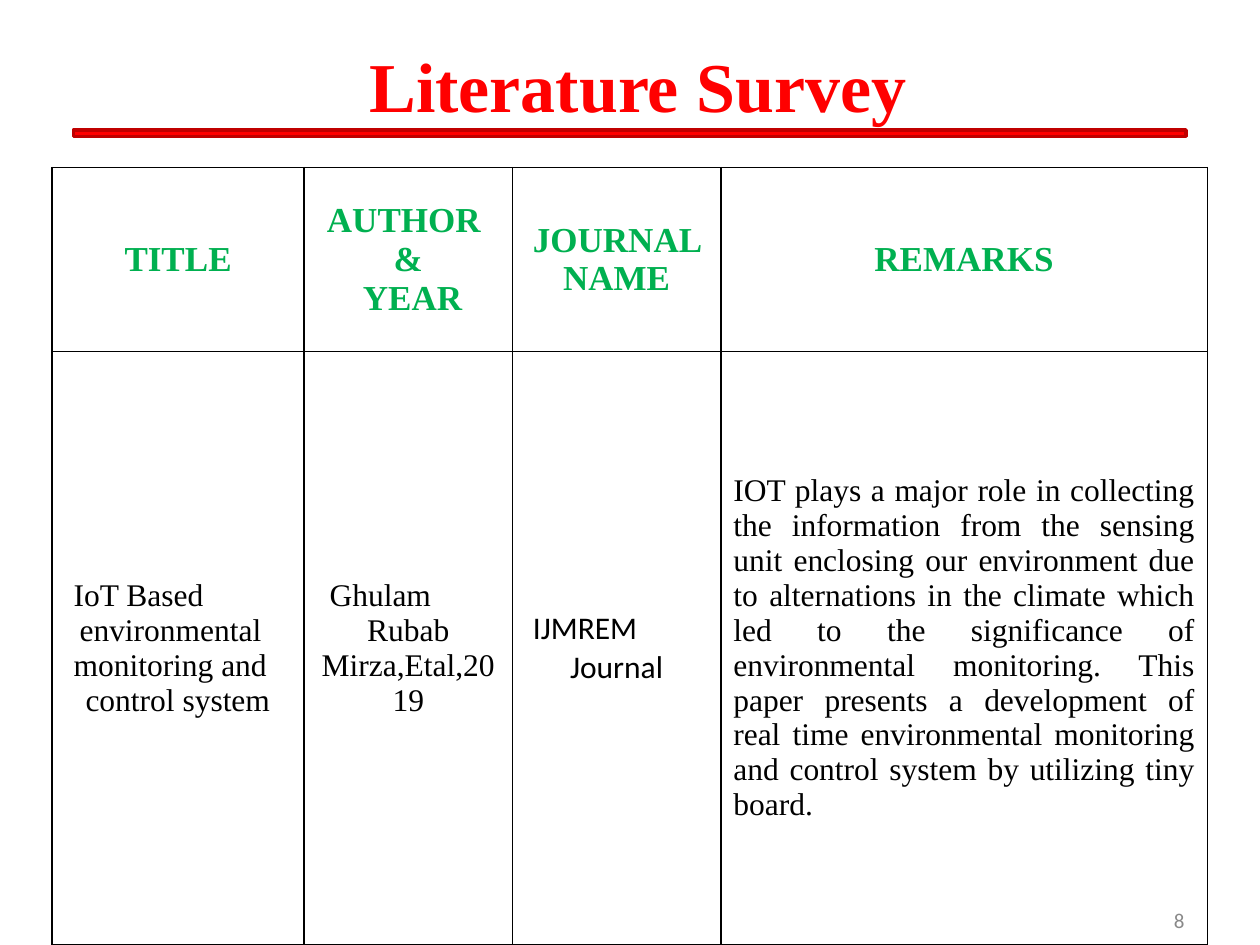
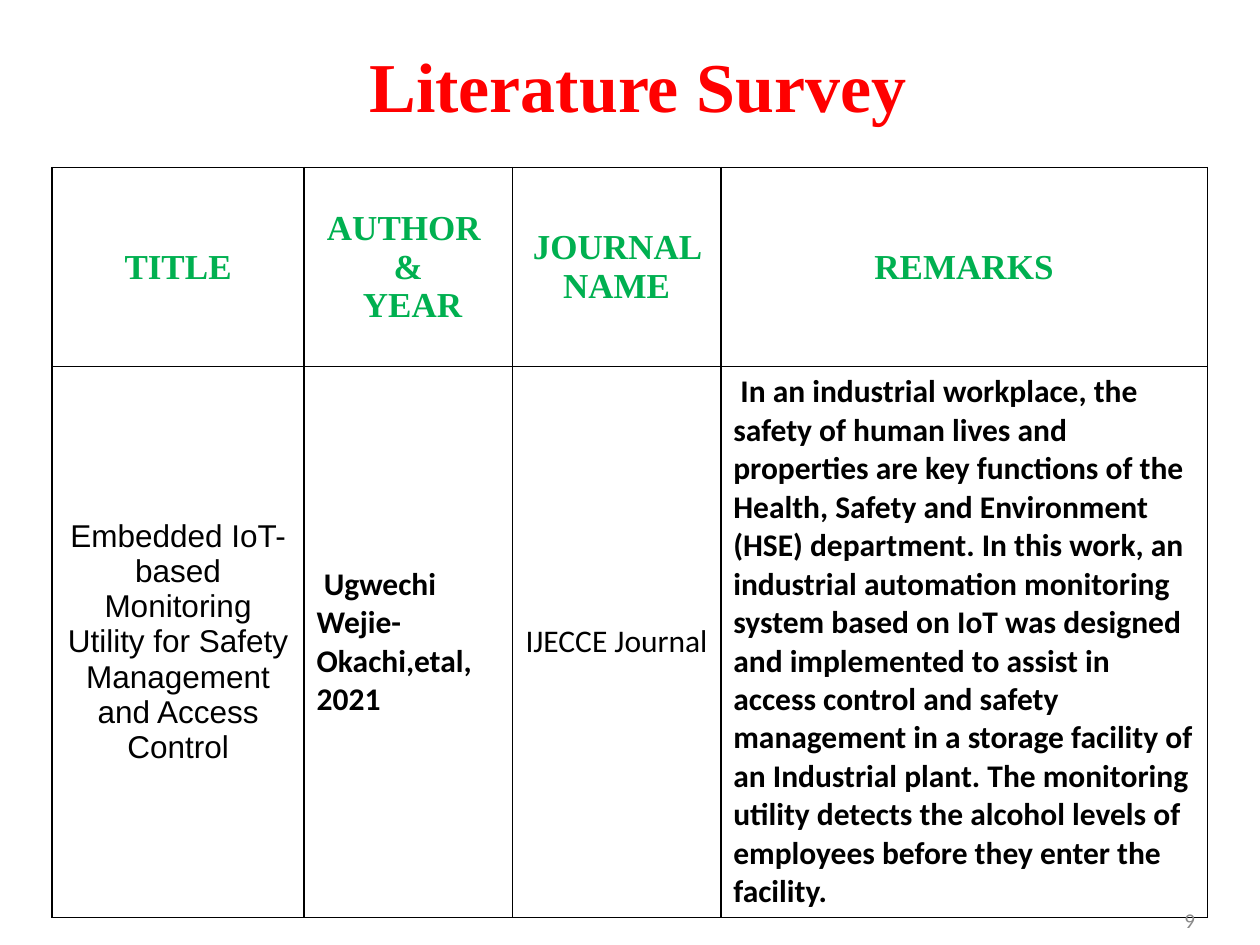
import lxml.etree
import pptx
import pptx.dml.color
import pptx.enum.shapes
import pptx.enum.text
import pptx.oxml.ns
import pptx.util

Cm = pptx.util.Cm
Pt = pptx.util.Pt
LEFT = pptx.enum.text.PP_ALIGN.LEFT
CENTER = pptx.enum.text.PP_ALIGN.CENTER
RIGHT = pptx.enum.text.PP_ALIGN.RIGHT
JUSTIFY = pptx.enum.text.PP_ALIGN.JUSTIFY
MIDDLE = pptx.enum.text.MSO_ANCHOR.MIDDLE

RED = "FF0000"
DARK_RED = "C00000"
GREEN = "00B050"
BLACK = "000000"
GREY = "898989"
SERIF = "Times New Roman"
SANS = "Calibri"
COLUMN_WIDTHS = [5.08, 4.2, 4.2, 9.81]
TABLE_LEFT, TABLE_TOP = 1.05, 3.38


def color(hex_string):
    """Return the colour for a hex string."""
    return pptx.dml.color.RGBColor.from_string(hex_string)


def write(frame, lines, font, size, text_color, bold=False):
    """Write lines of (text, alignment, indent in cm) as paragraphs."""
    for index, (text, alignment, indent) in enumerate(lines):
        paragraph = frame.paragraphs[0] if index == 0 else frame.add_paragraph()
        paragraph.alignment = alignment
        if indent:
            properties = paragraph._p.get_or_add_pPr()
            properties.set("marL", str(Cm(indent)))
            properties.set("indent", "0")
        run = paragraph.add_run()
        run.text = text
        run.font.name = font
        run.font.size = Pt(size)
        run.font.bold = bold
        run.font.color.rgb = color(text_color)


# Each cell holds its lines, its font and whether it is bold
header = [
    [("TITLE", CENTER, 0)],
    [("AUTHOR\u00a0", CENTER, 0), ("&", CENTER, 0), ("\u00a0YEAR", CENTER, 0)],
    [("JOURNAL NAME", CENTER, 0)],
    [("REMARKS", CENTER, 0)],
]
surveys = [
    {
        "number": "8", "number_left": 18.21, "rows": [3.71, 11.95], "rule": True,
        "cells": [
            ([("IoT Based", LEFT, 0.18), ("environmental", LEFT, 0.3),
              ("monitoring and", LEFT, 0.18), ("control system", LEFT, 0.42)],
             SERIF, False),
            ([("Ghulam", LEFT, 0.26), ("Rubab Mirza,Etal,2019", CENTER, 0)],
             SERIF, False),
            ([("IJMREM", LEFT, 0.16), ("Journal", CENTER, 0)], SANS, False),
            ([("IOT plays a major role in collecting the information from the "
               "sensing unit enclosing our environment due to alternations in "
               "the climate which led to the significance of environmental "
               "monitoring. This paper presents a development of real time "
               "environmental monitoring and control system by utilizing tiny "
               "board.", JUSTIFY, 0)], SERIF, False),
        ],
    },
    {
        "number": "9", "number_left": 18.42, "rows": [4.01, 11.1], "rule": False,
        "cells": [
            ([("Embedded IoT-based Monitoring Utility for Safety Management "
               "and Access Control", CENTER, 0)], "Arial", False),
            ([(" Ugwechi Wejie-Okachi,etal, 2021", LEFT, 0)], SANS, True),
            ([("IJECCE Journal", CENTER, 0)], SANS, False),
            ([(" In an industrial workplace, the safety of human lives and "
               "properties are key functions of the Health, Safety and "
               "Environment (HSE) department. In this work, an industrial "
               "automation monitoring system based on IoT was designed and "
               "implemented to assist in access control and safety management "
               "in a storage facility of an Industrial plant. The monitoring "
               "utility detects the alcohol levels of employees before they "
               "enter the facility.", LEFT, 0)], SANS, True),
        ],
    },
]

presentation = pptx.Presentation()
presentation.slide_width = Cm(25.4)
presentation.slide_height = Cm(19.05)
title_only = presentation.slide_layouts[5]

for survey in surveys:
    slide = presentation.slides.add_slide(title_only)

    title = slide.shapes.title
    title.left, title.top = Cm(1.27), Cm(0)
    title.width, title.height = Cm(22.86), Cm(3.39)
    title.text_frame.vertical_anchor = MIDDLE
    write(title.text_frame, [("Literature Survey", CENTER, 0.32)],
          SERIF, 40, RED, True)

    if survey["rule"]:
        rule = slide.shapes.add_shape(
            pptx.enum.shapes.MSO_SHAPE.RECTANGLE,
            Cm(1.48), Cm(2.62), Cm(22.43), Cm(0.13))
        rule.shadow.inherit = False
        rule.fill.solid()
        rule.fill.fore_color.rgb = color(RED)
        rule.line.color.rgb = color(DARK_RED)
        rule.line.width = Pt(2)
        # The rule lies behind the title
        title._element.addprevious(rule._element)

    table = slide.shapes.add_table(
        2, len(COLUMN_WIDTHS), Cm(TABLE_LEFT), Cm(TABLE_TOP),
        Cm(sum(COLUMN_WIDTHS)), Cm(sum(survey["rows"]))).table
    table.first_row = False
    table.horz_banding = False
    for column, width in zip(table.columns, COLUMN_WIDTHS):
        column.width = Cm(width)
    for row, height in zip(table.rows, survey["rows"]):
        row.height = Cm(height)

    for index, lines in enumerate(header):
        write(table.cell(0, index).text_frame, lines, SERIF, 20, GREEN, True)
    for index, (lines, font, bold) in enumerate(survey["cells"]):
        write(table.cell(1, index).text_frame, lines, font, 18, BLACK, bold)

    for cell in table.iter_cells():
        cell.vertical_anchor = MIDDLE
        cell.fill.background()
        properties = cell._tc.get_or_add_tcPr()
        for position, side in enumerate(["a:lnL", "a:lnR", "a:lnT", "a:lnB"]):
            border = lxml.etree.Element(pptx.oxml.ns.qn(side), w=str(Pt(1)))
            fill = lxml.etree.SubElement(border, pptx.oxml.ns.qn("a:solidFill"))
            lxml.etree.SubElement(fill, pptx.oxml.ns.qn("a:srgbClr"), val=BLACK)
            properties.insert(position, border)

    number = slide.shapes.add_textbox(
        Cm(survey["number_left"]), Cm(18.03), Cm(5.92), Cm(1.02))
    number.text_frame.word_wrap = True
    number.text_frame.vertical_anchor = MIDDLE
    write(number.text_frame, [(survey["number"], RIGHT, 0)], SANS, 12, GREY)

presentation.save("out.pptx")
